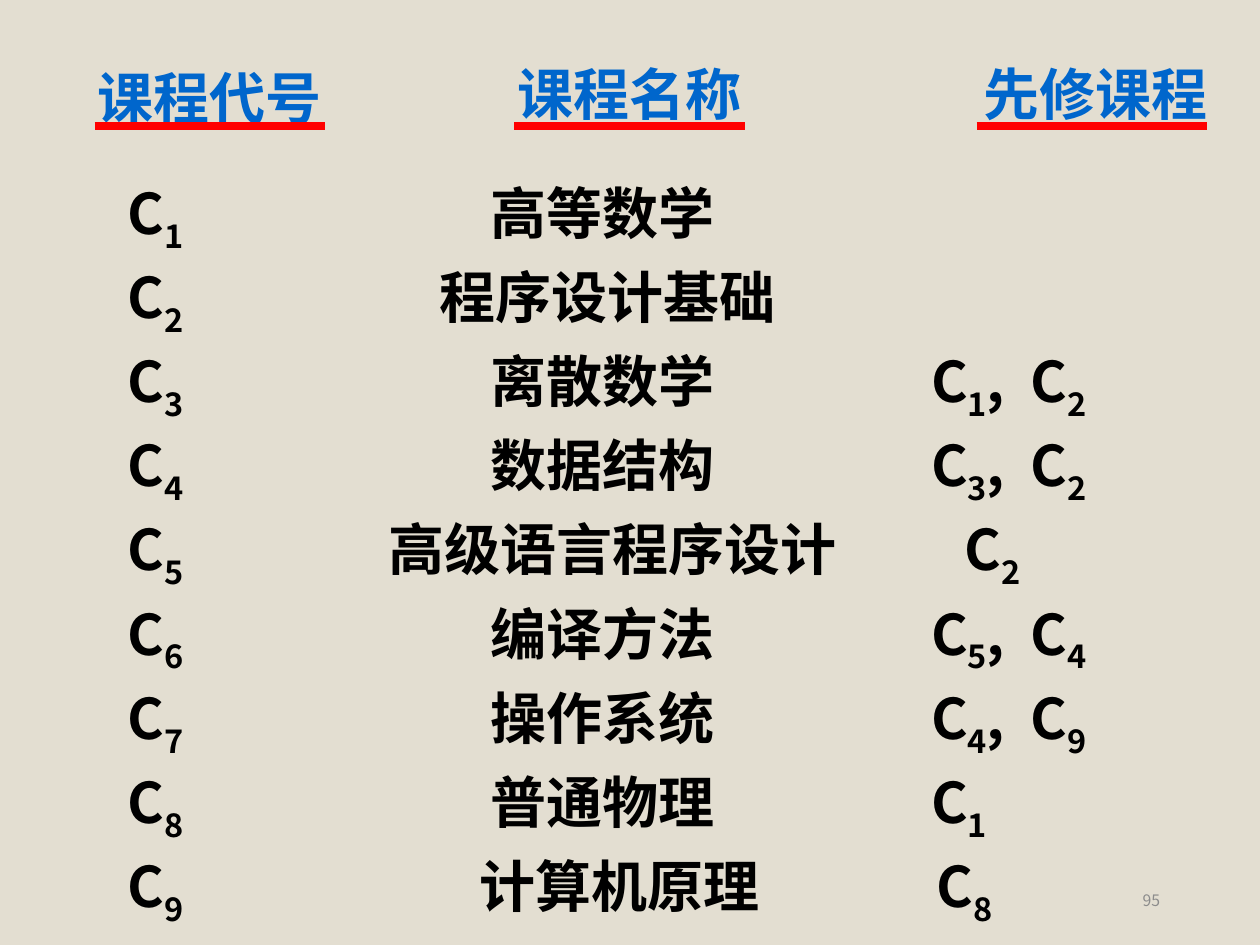
"""Build the slide listing courses and their prerequisites."""
import pptx
import pptx.dml.color
import pptx.enum.shapes
import pptx.enum.text
import pptx.oxml
import pptx.oxml.ns
import pptx.util

Pt = pptx.util.Pt
qn = pptx.oxml.ns.qn
ALIGN = pptx.enum.text.PP_ALIGN
ANCHOR = pptx.enum.text.MSO_ANCHOR

THEME = {
    "font": "Noto Sans CJK SC", "back": "E3DED1", "text": "000000",
    "head": "0066CC", "edge": "99CCFF", "rule": "FF0000", "page": "8C8C8C",
    "body": 32, "small": 9,
}

HEADS = [("课程代号", 48, 36, 144, 54), ("课程名称", 292, 34, 136, 294),
         ("先修课程", 558, 34, 136, 558)]
RULE_Y, RULE_W = 72, 132

CODE_X, NAME_X, NEED_X = 28, 235, 487
COURSES = [
    ("高等数学", [], NAME_X, NEED_X),
    ("程序设计基础", [], 206, NEED_X),
    ("离散数学", [1, 2], NAME_X, NEED_X),
    ("数据结构", [3, 2], NAME_X, NEED_X),
    ("高级语言程序设计", [2], 177, 506),
    ("编译方法", [5, 4], NAME_X, NEED_X),
    ("操作系统", [4, 9], NAME_X, NEED_X),
    ("普通物理", [1], NAME_X, NEED_X),
    ("计算机原理", [8], 229, 490),
]


def tint(name):
    return pptx.dml.color.RGBColor.from_string(THEME[name])


def add_box(slide, left, top, width, height, wrap=True):
    frame = slide.shapes.add_textbox(Pt(left), Pt(top), Pt(width), Pt(height)).text_frame
    frame.word_wrap = wrap
    return frame


def add_run(para, text, color, size, bold=True, low=False):
    run = para.add_run()
    run.text = text
    font = run.font
    font.name, font.size, font.bold = THEME["font"], Pt(THEME[size]), bold
    font.color.rgb = tint(color)
    props = run._r.get_or_add_rPr()
    east = pptx.oxml.parse_xml(
        '<a:ea xmlns:a="http://schemas.openxmlformats.org/drawingml/2006/main"/>')
    east.set("typeface", THEME["font"])
    props.find(qn("a:latin")).addnext(east)
    if low:
        props.set("baseline", "-25000")
    return props


def add_code(para, num, lead=""):
    add_run(para, lead + "C", "text", "body")
    add_run(para, str(num), "text", "body", low=True)


def set_tabs(para, stops):
    tabs = "".join(f'<a:tab pos="{Pt(stop)}" algn="l"/>' for stop in stops)
    para._p.get_or_add_pPr().append(pptx.oxml.parse_xml(
        '<a:tabLst xmlns:a="http://schemas.openxmlformats.org/drawingml/2006/main">'
        f'{tabs}</a:tabLst>'))


def add_list(slide):
    frame = add_box(slide, 38, 94, 668, 389)
    for num, (name, needs, name_x, need_x) in enumerate(COURSES, 1):
        para = frame.paragraphs[0] if num == 1 else frame.add_paragraph()
        set_tabs(para, [CODE_X, name_x, need_x])
        para.line_spacing = 1.1
        add_code(para, num, "\t")
        add_run(para, "\t" + name, "text", "body")
        for place, need in enumerate(needs):
            add_code(para, need, ",  " if place else "\t")


def add_head(slide, text, left, top, width, rule_x):
    frame = add_box(slide, left, top, width, 32, wrap=False)
    frame.margin_left = frame.margin_right = frame.margin_top = frame.margin_bottom = 0
    para = frame.paragraphs[0]
    para.alignment = ALIGN.CENTER
    props = add_run(para, text, "head", "body")
    props.insert(0, pptx.oxml.parse_xml(
        '<a:ln xmlns:a="http://schemas.openxmlformats.org/drawingml/2006/main" '
        f'w="{Pt(1.5)}"><a:solidFill><a:srgbClr val="{THEME["edge"]}"/>'
        '</a:solidFill></a:ln>'))


def add_rule(slide, left):
    rule = slide.shapes.add_connector(
        pptx.enum.shapes.MSO_CONNECTOR.STRAIGHT,
        Pt(left), Pt(RULE_Y), Pt(left + RULE_W), Pt(RULE_Y))
    rule.line.color.rgb = tint("rule")
    rule.line.width = Pt(4.5)
    rule._element.spPr.append(pptx.oxml.parse_xml(
        '<a:effectLst xmlns:a="http://schemas.openxmlformats.org/drawingml/2006/main"/>'))


def add_page(slide, text):
    frame = add_box(slide, 508, 500, 162, 29)
    frame.vertical_anchor = ANCHOR.MIDDLE
    para = frame.paragraphs[0]
    para.alignment = ALIGN.RIGHT
    add_run(para, text, "page", "small", bold=False)


def main():
    deck = pptx.Presentation()
    deck.slide_width, deck.slide_height = Pt(720), Pt(540)
    slide = deck.slides.add_slide(deck.slide_layouts[6])
    fill = slide.background.fill
    fill.solid()
    fill.fore_color.rgb = tint("back")
    add_list(slide)
    for head in HEADS:
        add_head(slide, *head)
    for head in HEADS:
        add_rule(slide, head[-1])
    add_page(slide, "95")
    deck.save("out.pptx")


if __name__ == "__main__":
    main()
